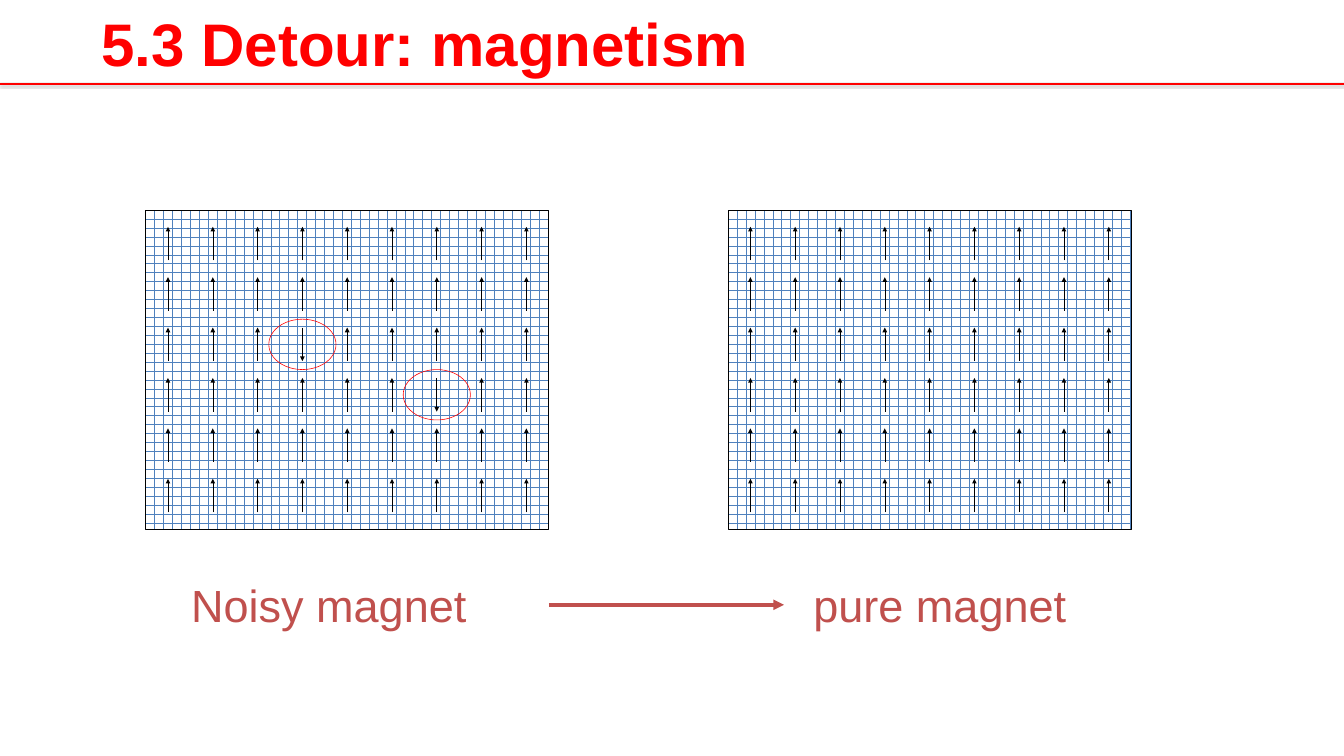
from dataclasses import dataclass

from lxml.etree import SubElement
from pptx import Presentation
from pptx.dml.color import RGBColor
from pptx.enum.dml import MSO_PATTERN
from pptx.enum.shapes import MSO_CONNECTOR, MSO_SHAPE
from pptx.enum.text import MSO_AUTO_SIZE
from pptx.oxml.ns import qn
from pptx.util import Inches, Pt


@dataclass(frozen=True)
class Theme:
    font: str = "Arial"
    red: RGBColor = RGBColor(0xFF, 0x00, 0x00)
    brick: RGBColor = RGBColor(0xC0, 0x50, 0x4D)
    blue: RGBColor = RGBColor(0x4F, 0x81, 0xBD)
    black: RGBColor = RGBColor(0x00, 0x00, 0x00)
    white: RGBColor = RGBColor(0xFF, 0xFF, 0xFF)
    title_size: float = 76
    label_size: float = 57
    thin: float = 0.75
    rule: float = 2
    thick: float = 4.5


THEME = Theme()
WIDTH, HEIGHT = Inches(23.63), Inches(13.29)
COLS, ROWS = 30, 15  # slide grid; one spin per cell
SPIN_COLS, SPIN_ROWS = 9, 6
PANEL_TOP, PANEL_ROWS = 4 + 1 / 6, 6 + 1 / 3
SPIN_TOP, SPIN_LENGTH = 4.5, 2 / 3
NOISY_LEFT, PURE_LEFT = 3.25, 16.25
FLIPPED = {(3, 2), (6, 3)}  # (column, row) of the noisy spins


def x(cols):
    return round(cols * WIDTH / COLS)


def y(rows):
    return round(rows * HEIGHT / ROWS)


def add_line(shapes, start, end, color, width, arrow=True):
    line = shapes.add_connector(MSO_CONNECTOR.STRAIGHT, x(start[0]), y(start[1]),
                                x(end[0]), y(end[1]))
    line.line.color.rgb = color
    line.line.width = Pt(width)
    if arrow:
        SubElement(line.line._ln, qn("a:tailEnd"), type="triangle")
    effects = SubElement(line._element.spPr, qn("a:effectLst"))
    return effects


def add_outline(shapes, kind, left, top, cols, rows, color):
    sp = shapes.add_shape(kind, x(left), y(top), x(cols), y(rows))
    sp.shadow.inherit = False
    sp.fill.background()
    sp.line.color.rgb = color
    sp.line.width = Pt(THEME.thin)
    return sp


def add_text(shapes, text, left, top, cols, rows, size, color, bold=False):
    tf = shapes.add_textbox(x(left), y(top), x(cols), y(rows)).text_frame
    tf.word_wrap = False
    tf.auto_size = MSO_AUTO_SIZE.SHAPE_TO_FIT_TEXT
    tf.margin_left = tf.margin_right = Inches(0.21)
    tf.margin_top = tf.margin_bottom = Inches(0.11)
    r = tf.paragraphs[0].add_run()
    r.text = text
    r.font.name = THEME.font
    r.font.size = Pt(size)
    r.font.bold = bold
    r.font.color.rgb = color


def add_magnet(slide, left, flipped=frozenset()):
    shapes = slide.shapes.add_group_shape().shapes

    # Patterned panel
    panel = add_outline(shapes, MSO_SHAPE.RECTANGLE, left, PANEL_TOP,
                        SPIN_COLS, PANEL_ROWS, THEME.black)
    panel.fill.patterned()
    panel.fill.pattern = MSO_PATTERN.DOTTED_GRID
    panel.fill.fore_color.rgb = THEME.blue
    panel.fill.back_color.rgb = THEME.white

    # Spins point up unless flipped
    for row in range(SPIN_ROWS):
        for col in range(SPIN_COLS):
            center, top = left + col + 0.5, SPIN_TOP + row
            upper, lower = (center, top), (center, top + SPIN_LENGTH)
            start, end = (upper, lower) if (col, row) in flipped else (lower, upper)
            add_line(shapes, start, end, THEME.black, THEME.thin)

    # Rings around the flipped spins
    for col, row in sorted(flipped):
        add_outline(shapes, MSO_SHAPE.OVAL, left + col - 0.25,
                    SPIN_TOP + row + SPIN_LENGTH / 2 - 0.5, 1.5, 1, THEME.red)


def add_title(slide, text):
    add_text(slide.shapes, text, 2, 0, 15.12, 1.68, THEME.title_size, THEME.red, True)
    rule_y = 1 + 2 / 3
    effects = add_line(slide.shapes, (0, rule_y), (COLS, rule_y), THEME.red,
                       THEME.rule, arrow=False)
    shadow = SubElement(effects, qn("a:outerShdw"), blurRad=str(Pt(3.1)),
                        dist=str(Pt(1.6)), dir="5400000", rotWithShape="0")
    color = SubElement(shadow, qn("a:srgbClr"), val=str(THEME.black))
    SubElement(color, qn("a:alpha"), val="38000")


def main():
    prs = Presentation()
    prs.slide_width, prs.slide_height = WIDTH, HEIGHT
    slide = prs.slides.add_slide(prs.slide_layouts[6])

    # The two magnets
    add_magnet(slide, PURE_LEFT)
    add_magnet(slide, NOISY_LEFT, FLIPPED)

    # Labels and the arrow between them
    for text, left, cols in (("Noisy magnet", 4, 6.75), ("pure magnet", 17.89, 6.53)):
        add_text(slide.shapes, text, left, 11 + 1 / 3, cols, 1.32,
                 THEME.label_size, THEME.brick)
    add_line(slide.shapes, (NOISY_LEFT + SPIN_COLS, 12), (17.5, 12),
             THEME.brick, THEME.thick)

    add_title(slide, "5.3 Detour: magnetism")
    prs.save("out.pptx")


if __name__ == "__main__":
    main()
